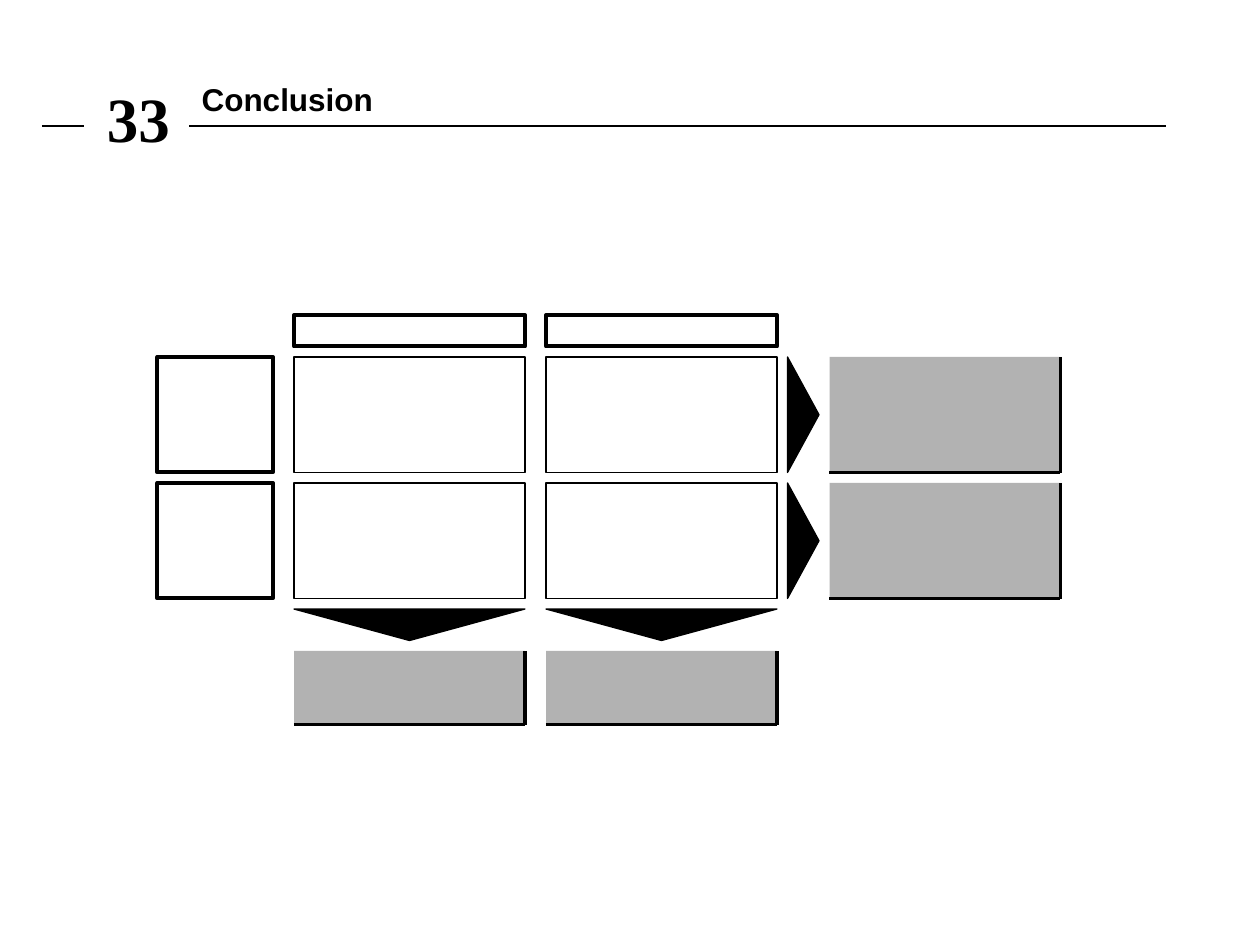
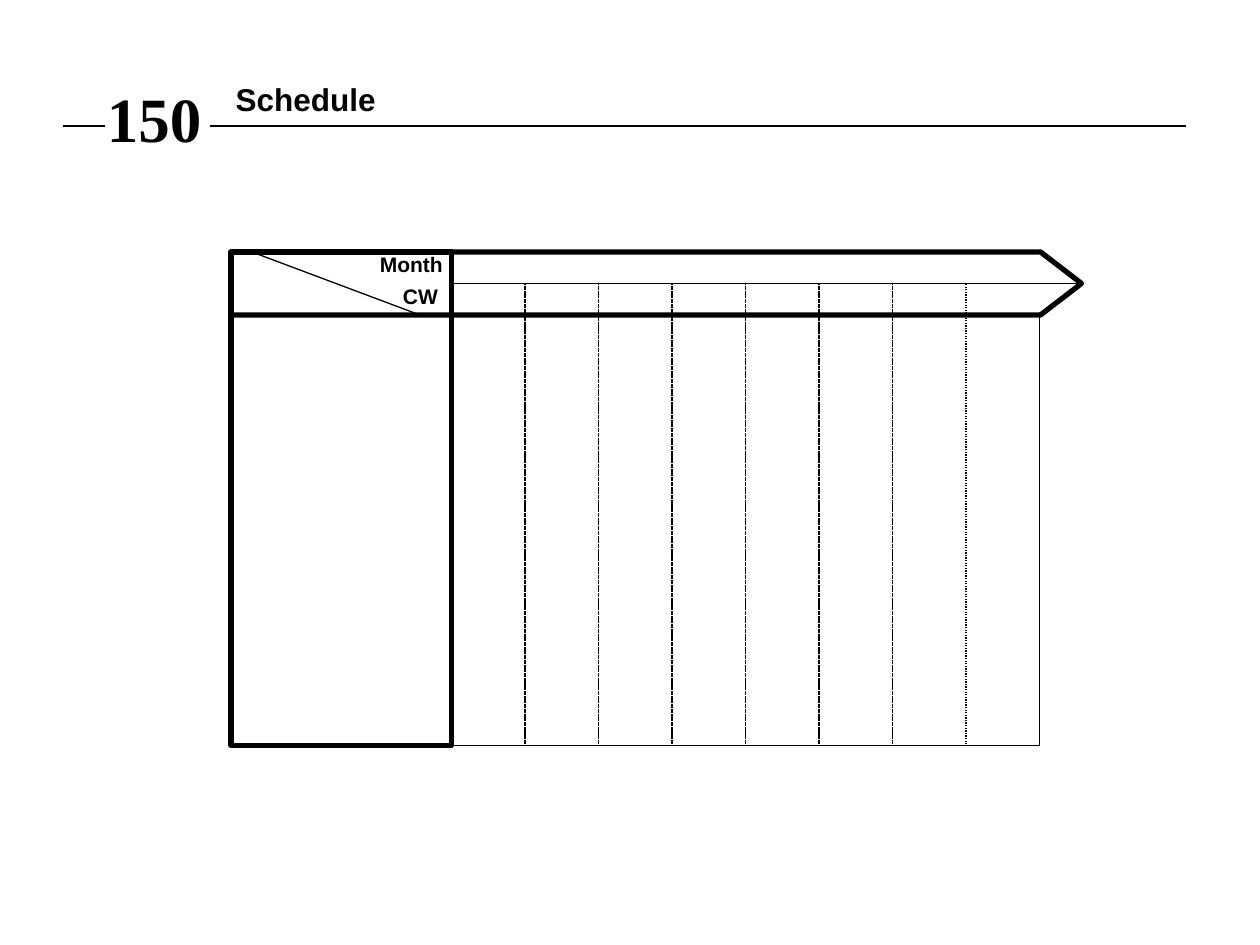
from lxml.etree import SubElement
from pptx import Presentation
from pptx.dml.color import RGBColor
from pptx.enum.dml import MSO_LINE
from pptx.enum.shapes import MSO_CONNECTOR, MSO_SHAPE
from pptx.enum.text import MSO_ANCHOR, MSO_AUTO_SIZE, PP_ALIGN
from pptx.oxml.ns import qn
from pptx.util import Inches, Pt

COLORS = {"ink": "000000", "result": "B2B2B2"}
HEADING_FONT, NUMBER_FONT = "Arial", "Times New Roman"
THIN, MEDIUM, THICK = 0.75, 2.25, 3
TITLE_ONLY = 5
HEADING_RULE = 12


def grid(*counts):
    """Turn counts of grid steps, twelve to the inch, into lengths."""
    return [Inches(count / 12) for count in counts]


def color(name):
    return RGBColor.from_string(COLORS[name])


def write(box, text, font=HEADING_FONT, size=12, wrap=False):
    frame = box.text_frame
    frame.word_wrap = wrap
    frame.auto_size = MSO_AUTO_SIZE.NONE
    frame.vertical_anchor = MSO_ANCHOR.TOP
    para = frame.paragraphs[0]
    para.alignment = PP_ALIGN.LEFT
    span = para.add_run()
    span.text = text
    span.font.name, span.font.size, span.font.bold = font, Pt(size), True
    span.font.color.rgb = color("ink")


def add_label(slide, area, text, **text_format):
    write(slide.shapes.add_textbox(*grid(*area)), text, **text_format)


def add_line(slide, start, end, weight=THIN):
    line = slide.shapes.add_connector(MSO_CONNECTOR.STRAIGHT, *grid(*start, *end))
    line.line.color.rgb = color("ink")
    line.line.width = Pt(weight)
    SubElement(line._element.spPr, qn("a:effectLst"))


def add_block(slide, area, kind=MSO_SHAPE.RECTANGLE, fill=None, weight=THIN, dash=None):
    """Draw a preset shape; no fill name or a zero weight leaves that part out."""
    block = slide.shapes.add_shape(kind, *grid(*area))
    block.shadow.inherit = False
    if fill:
        block.fill.solid()
        block.fill.fore_color.rgb = color(fill)
    else:
        block.fill.background()
    if weight:
        block.line.color.rgb = color("ink")
        block.line.width = Pt(weight)
        if dash:
            block.line.dash_style = dash
    else:
        block.line.fill.background()
    return block


def add_result(slide, left, top, width, height):
    """Draw a grey box with a heavy edge at its bottom and right."""
    add_block(slide, (left, top, width, height), fill="result", weight=0)
    corner = (left + width, top + height)
    add_line(slide, (left, top + height), corner, MEDIUM)
    add_line(slide, (left + width, top), corner, MEDIUM)


def add_pointer(slide, area, turn):
    add_block(slide, area, MSO_SHAPE.ISOSCELES_TRIANGLE, fill="ink").rotation = turn


def add_headed_slide(deck, number, title, title_left, rule_shift=0):
    slide = deck.slides.add_slide(deck.slide_layouts[TITLE_ONLY])
    heading = slide.shapes.title
    heading.left, heading.top, heading.width, heading.height = grid(title_left, 7, 60, 5)
    write(heading, title, size=18)
    add_label(slide, (9, 7, 11, 8.4), number, font=NUMBER_FONT, size=36)
    for start, end in ((18, 111), (4, 8)):
        add_line(slide, (start + rule_shift, HEADING_RULE), (end + rule_shift, HEADING_RULE))
    return slide


def add_conclusion(deck):
    slide = add_headed_slide(deck, "33", "Conclusion", title_left=18)
    columns, rows = (28, 52), (34, 46)
    width, height, depth = 22, 11, 3
    for top in rows:
        add_block(slide, (15, top, height, height), weight=MEDIUM)
        for left in columns:
            add_block(slide, (left, top, width, height))
        # The triangle turns about its centre, so it is placed lying down.
        offset = (height - depth) / 2
        add_pointer(slide, (75 - offset, top + offset, height, depth), turn=90)
        add_result(slide, 79, top, width, height)
    for left in columns:
        add_block(slide, (left, 30, width, depth), weight=MEDIUM)
        add_pointer(slide, (left, 58, width, depth), turn=180)
        add_result(slide, left, 62, width, 7)


def add_schedule(deck):
    slide = add_headed_slide(deck, "150", "Schedule", title_left=21.25, rule_shift=2)
    left, top, task_width, bottom = 22, 24, 21, 71
    weeks_left, week_width, week_count = left + task_width, 7, 7
    month_line, header_bottom = top + 3, top + 6

    add_block(slide, (left, top, task_width, bottom - top), weight=THICK)
    band = add_block(slide, (left, top, 81, 6), MSO_SHAPE.PENTAGON, weight=THICK)
    band.adjustments[0] = 0.65
    add_line(slide, (weeks_left, month_line), (left + 81, month_line))
    add_block(slide, (weeks_left, header_bottom, 8 * week_width, bottom - header_bottom))
    for week in range(week_count):
        week_left = weeks_left + week * week_width
        add_block(slide, (week_left, month_line, week_width, bottom - month_line),
                  dash=MSO_LINE.ROUND_DOT)
    add_line(slide, (24, top), (40, header_bottom))
    add_label(slide, (35, 23.4, 9, 3.6), "Month", wrap=True)
    add_label(slide, (37.2, 26.4, 5.8, 3.6), "CW")


def main():
    deck = Presentation()
    deck.slide_width, deck.slide_height = grid(120, 90)
    add_conclusion(deck)
    add_schedule(deck)
    deck.save("out.pptx")


if __name__ == "__main__":
    main()
